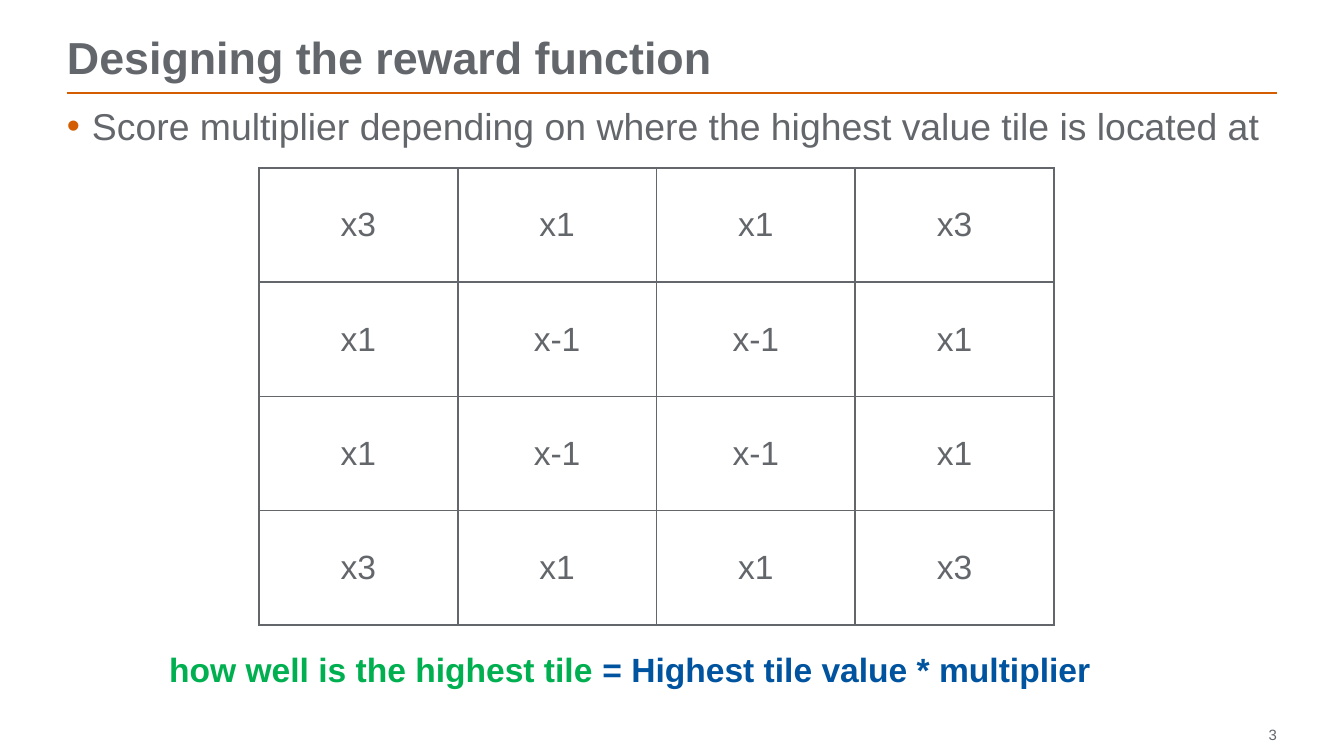
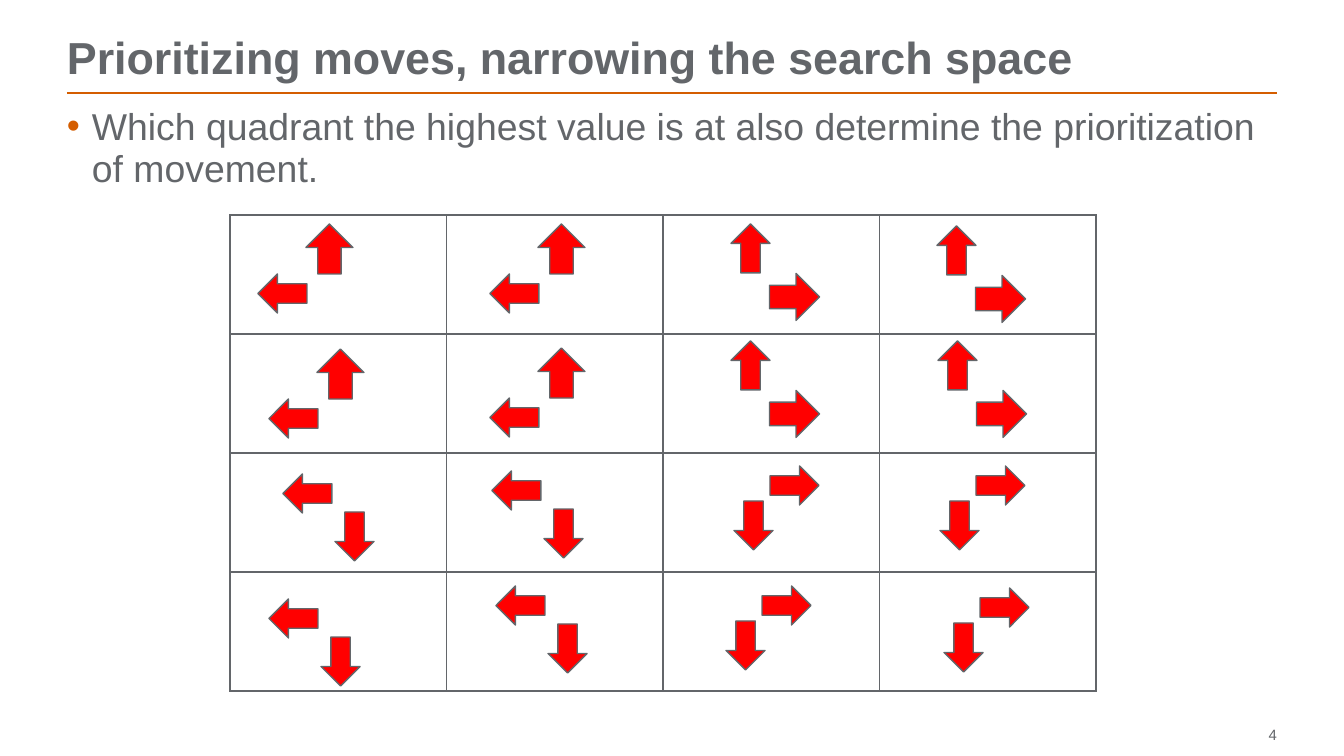
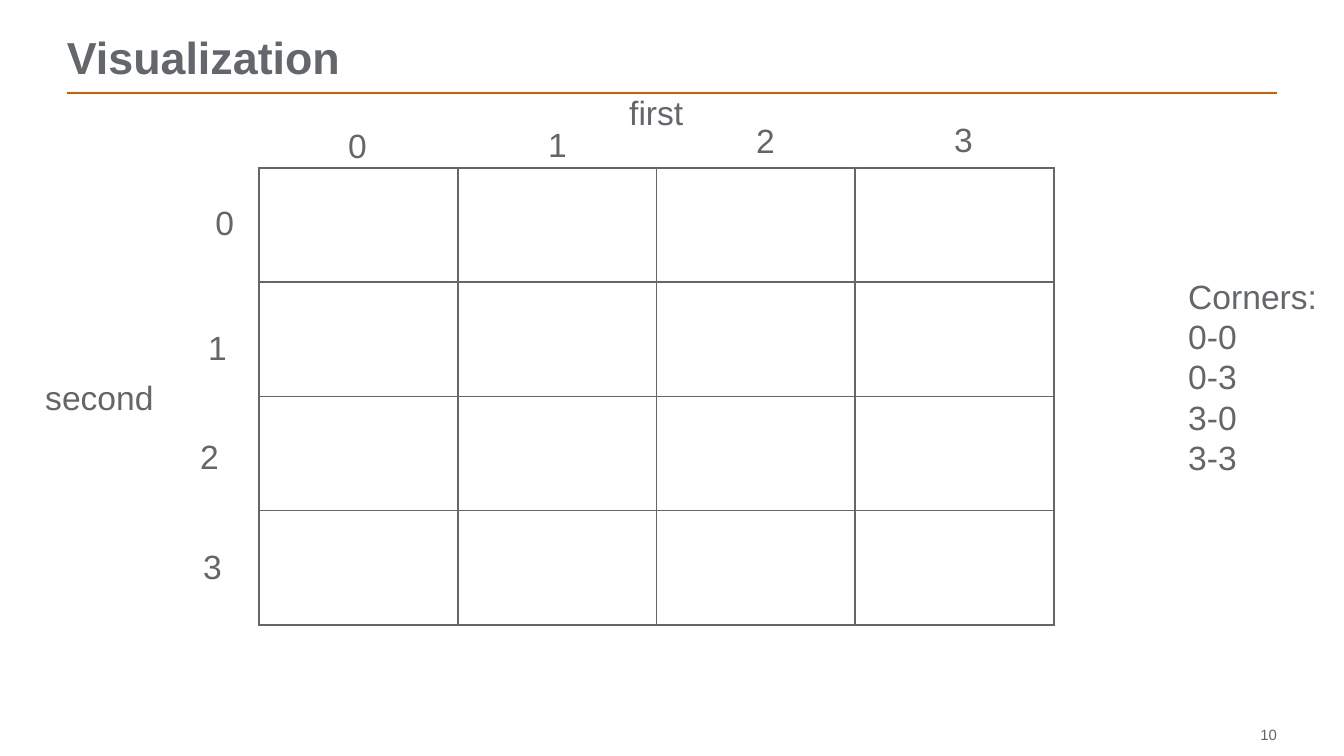
import pptx
import pptx.dml.color
import pptx.enum.shapes
import pptx.enum.text
import pptx.oxml.ns
import pptx.util
from dataclasses import dataclass
from lxml import etree

SCALE = 914400 / 134.4
SHAPE = pptx.enum.shapes.MSO_SHAPE
ALIGN = pptx.enum.text.PP_ALIGN
ANCHOR = pptx.enum.text.MSO_ANCHOR
FIT = pptx.enum.text.MSO_AUTO_SIZE


@dataclass(frozen=True)
class Theme:
    font: str = "Arial"
    gray: str = "63666A"
    orange: str = "D45D00"
    green: str = "00B050"
    blue: str = "00549F"
    red: str = "FF0000"
    title: int = 24
    body: int = 20
    text: int = 18
    foot: int = 8


THEME = Theme()

REWARD = {
    "title": "Designing the reward function",
    "number": "3",
    "bullet": "Score multiplier depending on where the highest value tile is located at",
    "cells": [
        ["x3", "x1", "x1", "x3"],
        ["x1", "x-1", "x-1", "x1"],
        ["x1", "x-1", "x-1", "x1"],
        ["x3", "x1", "x1", "x3"],
    ],
    "formula": [
        ("how well is the highest tile ", THEME.green),
        ("= Highest tile value * multiplier", THEME.blue),
    ],
}
MOVES = {
    "title": "Prioritizing moves, narrowing the search space",
    "number": "4",
    "bullet": "Which quadrant the highest value is at also determine "
              "the prioritization of movement.",
    # Top left of the first arrow in each cell
    "spots": [
        [(306, 224), (538, 224), (731, 224), (937, 226)],
        [(317, 349), (538, 348), (731, 341), (938, 341)],
        [(288, 469), (497, 466), (775, 461), (981, 461)],
        [(274, 594), (501, 581), (767, 581), (985, 583)],
    ],
}
VISUAL = {
    "title": "Visualization",
    "number": "10",
    "labels": [
        (["first"], 616, 85, 82),
        (["second"], 32, 370, 137),
        (["0"], 335, 118, 46),
        (["1"], 535, 117, 46),
        (["2"], 743, 113, 46),
        (["3"], 941, 112, 46),
        (["0"], 202, 195, 46),
        (["1"], 195, 320, 46),
        (["2"], 187, 429, 46),
        (["3"], 190, 539, 46),
        (["Corners:", "0-0", "0-3", "3-0", "3-3"], 1175, 269, 157),
    ],
}

BLANK = [[""] * 4 for _ in range(4)]
BOARD = (259, 168, 795, 457)
MAP = (230, 215, 866, 476)

BIG, SMALL = (47, 50), (39, 49)
# Quadrant (down, right): two arrows as (turn, size, offset from the spot)
PAIRS = {
    (0, 0): [(0, BIG, (0, 0)), (270, SMALL, (-43, 45))],
    (0, 1): [(0, SMALL, (0, 0)), (90, BIG, (40, 48))],
    (1, 0): [(270, SMALL, (0, 0)), (180, SMALL, (47, 43))],
    (1, 1): [(90, SMALL, (0, 0)), (180, SMALL, (-41, 40))],
}


def px(n):
    return pptx.util.Emu(round(n * SCALE))


def color(code):
    return pptx.dml.color.RGBColor.from_string(code)


def add_tag(parent, name, **attrs):
    return etree.SubElement(parent, pptx.oxml.ns.qn(name), attrs)


def style(font, size, tint=THEME.gray, bold=False):
    font.name = THEME.font
    font.size = pptx.util.Pt(size)
    font.color.rgb = color(tint)
    font.bold = bold


def add_text(slide, lines, box, size, bold=False, flush=True, wrap=True):
    """Add a text box; flush drops the insets, otherwise it grows to fit."""
    frame = slide.shapes.add_textbox(*map(px, box)).text_frame
    frame.word_wrap = wrap
    if flush:
        frame.margin_left = frame.margin_right = 0
        frame.margin_top = frame.margin_bottom = 0
    else:
        frame.auto_size = FIT.SHAPE_TO_FIT_TEXT
    frame.text = "\n".join(lines)
    for para in frame.paragraphs:
        style(para.font, size, bold=bold)
    return frame


def add_page(deck, page):
    slide = deck.slides.add_slide(deck.slide_layouts[6])
    rule = slide.shapes.add_connector(
        pptx.enum.shapes.MSO_CONNECTOR.STRAIGHT, px(67), px(93), px(1277), px(93))
    rule.line.color.rgb = color(THEME.orange)
    rule.line.width = pptx.util.Pt(1)
    add_tag(rule.element.spPr, "a:effectLst")

    title = add_text(slide, [page["title"]], (67, 17, 1210, 67), THEME.title, bold=True)
    title.vertical_anchor = ANCHOR.BOTTOM
    title.paragraphs[0].line_spacing = 0.9

    foot = add_text(slide, [page["number"]], (1232, 726, 45, 16), THEME.foot)
    foot.paragraphs[0].alignment = ALIGN.RIGHT
    return slide


def add_bullet(slide, text):
    para = add_text(slide, [text], (67, 106, 1210, 62), THEME.body).paragraphs[0]
    para.line_spacing = 0.95
    para.space_after = pptx.util.Pt(7)
    props = para._p.get_or_add_pPr()
    props.set("marL", str(px(25)))
    props.set("indent", str(px(-25)))
    add_tag(add_tag(props, "a:buClr"), "a:srgbClr", val=THEME.orange)
    add_tag(props, "a:buFont", typeface=THEME.font)
    add_tag(props, "a:buChar", char="•")


def add_border(cell):
    props = cell._tc.get_or_add_tcPr()
    for side in ("lnL", "lnR", "lnT", "lnB"):
        line = add_tag(props, "a:" + side, w=str(pptx.util.Pt(1)))
        add_tag(add_tag(line, "a:solidFill"), "a:srgbClr", val=THEME.gray)


def add_grid(slide, cells, box):
    rows, cols = len(cells), len(cells[0])
    table = slide.shapes.add_table(rows, cols, *map(px, box)).table
    table.first_row = table.horz_banding = False
    for col in table.columns:
        col.width = px(box[2] / cols)
    for row, texts in zip(table.rows, cells):
        row.height = px(box[3] / rows)
        for cell, text in zip(row.cells, texts):
            cell.text = text
            cell.vertical_anchor = ANCHOR.MIDDLE
            para = cell.text_frame.paragraphs[0]
            para.alignment = ALIGN.CENTER
            style(para.font, THEME.text)
            add_border(cell)
            cell.fill.background()


def add_arrow(slide, x, y, size, turn):
    arrow = slide.shapes.add_shape(SHAPE.UP_ARROW, *map(px, (x, y, *size)))
    arrow.rotation = turn
    arrow.shadow.inherit = False
    arrow.fill.solid()
    arrow.fill.fore_color.rgb = color(THEME.red)
    arrow.line.color.rgb = color(THEME.gray)
    arrow.line.width = pptx.util.Pt(0.75)


def build_reward(deck):
    slide = add_page(deck, REWARD)
    add_grid(slide, REWARD["cells"], BOARD)
    add_bullet(slide, REWARD["bullet"])
    frame = add_text(slide, [""], (156, 642, 1310, 54), THEME.text, flush=False)
    for text, tint in REWARD["formula"]:
        run = frame.paragraphs[0].add_run()
        run.text = text
        style(run.font, THEME.text, tint, bold=True)


def build_moves(deck):
    slide = add_page(deck, MOVES)
    add_grid(slide, BLANK, MAP)
    add_bullet(slide, MOVES["bullet"])
    for r, row in enumerate(MOVES["spots"]):
        for c, (x, y) in enumerate(row):
            for turn, size, (dx, dy) in PAIRS[r // 2, c // 2]:
                add_arrow(slide, x + dx, y + dy, size, turn)


def build_visual(deck):
    slide = add_page(deck, VISUAL)
    add_grid(slide, BLANK, BOARD)
    for lines, x, y, width in VISUAL["labels"]:
        box = (x, y, width, 13 + 41 * len(lines))
        add_text(slide, lines, box, THEME.text, flush=False, wrap=False)


def main():
    deck = pptx.Presentation()
    deck.slide_width, deck.slide_height = px(1344), px(756)
    for build in (build_reward, build_moves, build_visual):
        build(deck)
    deck.save("out.pptx")


if __name__ == "__main__":
    main()
